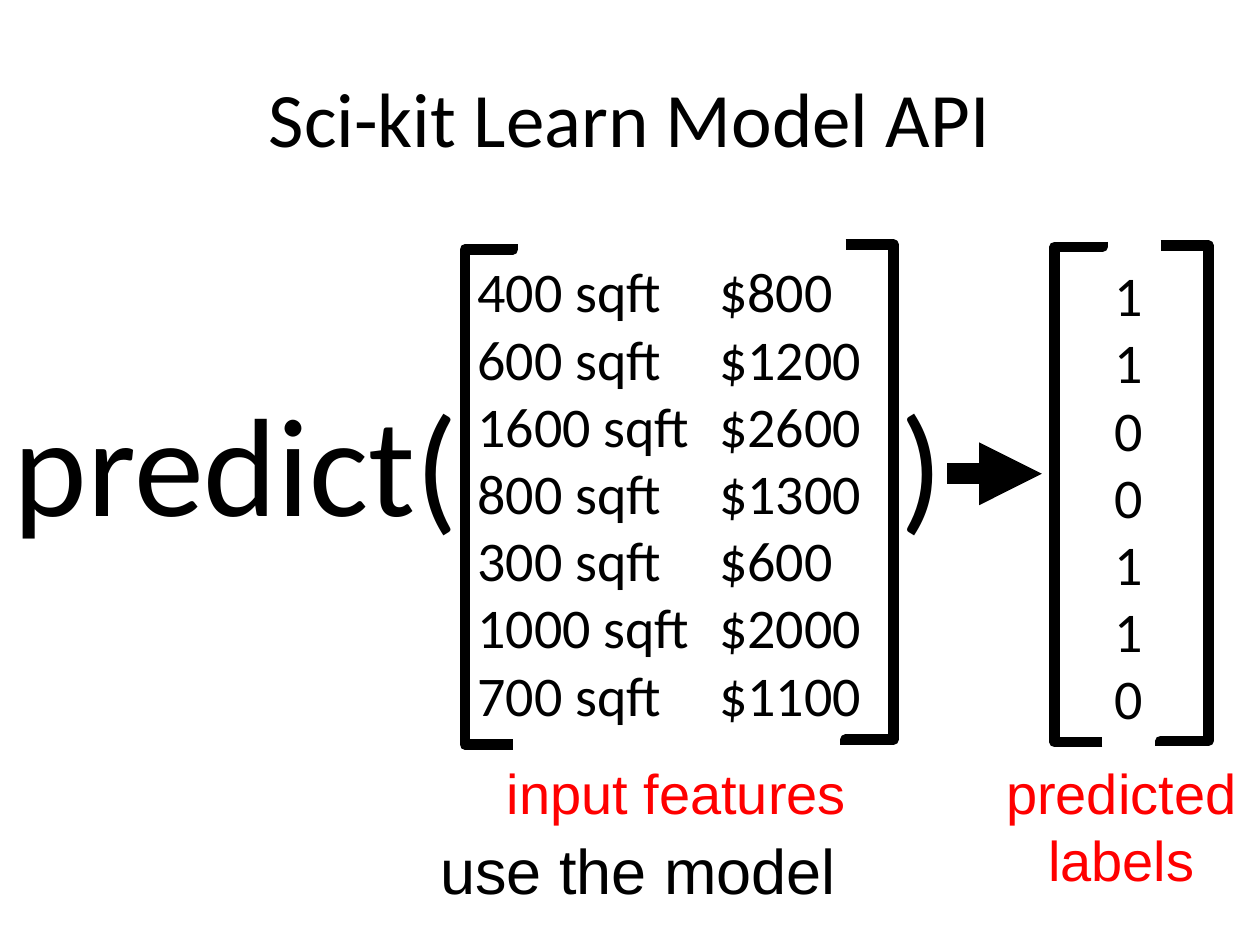
from lxml import etree
from pptx import Presentation
from pptx import util as u
from pptx.dml.color import RGBColor
from pptx.enum import shapes, text
from pptx.oxml.ns import qn

BLACK = RGBColor(0, 0, 0)
RED = RGBColor(0xFF, 0, 0)
CENTER, LEFT = text.PP_ALIGN.CENTER, text.PP_ALIGN.LEFT

AREAS = ["400 sqft", "600 sqft", "1600 sqft", "800 sqft", "300 sqft", "1000 sqft", "700 sqft"]
PRICES = ["$800", "$1200", "$2600", "$1300", "$600", "$2000", "$1100"]
LABELS = ["1", "1", "0", "0", "1", "1", "0"]

# lines, (left, top, width, height), size, font, colour, alignment
TEXTS = [
    (["Sci-kit Learn Model API"], (0.5, 0.3, 9, 1.25), 44, "Calibri", BLACK, CENTER),
    (["predict(\t)"], (0.01, 2.94, 7.71, 1.91), 80, "Calibri", BLACK, LEFT),
    (["use the model"], (0.79, 6.55, 8.55, 0.71), 36, "Arial", BLACK, CENTER),
    (["predicted labels"], (7.67, 5.97, 2.46, 1.18), 32, "Arial", RED, CENTER),
    (["input features"], (3.78, 5.97, 3.18, 0.64), 32, "Arial", RED, CENTER),
    (AREAS, (3.69, 1.99, 1.92, 3.87), 32, "Calibri", BLACK, LEFT),
    (PRICES, (5.61, 1.99, 1.84, 3.87), 32, "Calibri", BLACK, LEFT),
    (LABELS, (8.75, 2.02, 1.84, 3.87), 32, "Calibri", BLACK, LEFT),
]
CLOSING_TAB = 7.04

# spine x, side the bracket opens to (1 right, -1 left), top and bottom of its tips
BRACKETS = [
    (3.69, 1, 1.94, 5.91),
    (7.09, -1, 1.94, 5.91),
    (8.37, 1, 1.92, 5.89),
    (9.59, -1, 1.95, 5.92),
]
SERIF, SHORT_HALF, LONG_HALF = 0.38, 1.86, 2.12
TIP_BEND = 2100  # bend of the short halves, in 1/100000 of their length
ARROW_START, ARROW_END, ARROW_Y = 7.52, 8.27, 3.76


def add_text(page, lines, area, size, font, color, align):
    box = page.shapes.add_textbox(*map(u.Inches, area))
    frame = box.text_frame
    frame.word_wrap = True
    if size == 44:
        frame.vertical_anchor = text.MSO_ANCHOR.MIDDLE
    for index, line in enumerate(lines):
        para = frame.paragraphs[0] if index == 0 else frame.add_paragraph()
        para.alignment = align
        span = para.add_run()
        span.text = line
        span.font.size, span.font.name = u.Pt(size), font
        span.font.color.rgb = color
        if "\t" in line:
            tabs = etree.SubElement(para._p.get_or_add_pPr(), qn("a:tabLst"))
            etree.SubElement(tabs, qn("a:tab"), pos=str(u.Inches(CLOSING_TAB)), algn="l")


def add_black_connector(page, kind, ends, weight):
    connector = page.shapes.add_connector(kind, *map(u.Inches, ends))
    connector.line.color.rgb = BLACK
    connector.line.width = u.Pt(weight)
    etree.SubElement(connector._element.spPr, qn("a:effectLst"))
    return connector


def add_half_bracket(page, spine, side, tip_y, down):
    """Draw an elbow from the tip to the spine; down is 1 for the top half, -1 below."""
    short = side == down
    length = SHORT_HALF if short else LONG_HALF
    center_x = spine + side * SERIF / 2
    center_y = tip_y + down * length / 2
    rise = SERIF / 2 if short else -SERIF / 2
    # The elbow is laid out lying down, then turned upright about its centre.
    half = add_black_connector(
        page, shapes.MSO_CONNECTOR.ELBOW,
        (center_x + length / 2, center_y + rise, center_x - length / 2, center_y - rise), 6)
    half.rotation = 270 if down == 1 else 90
    guides = half._element.spPr.find(qn("a:prstGeom")).get_or_add_avLst()
    bend = TIP_BEND if short else 0
    etree.SubElement(guides, qn("a:gd"), name="adj1", fmla=f"val {bend}")
    etree.SubElement(half.line._get_or_add_ln(), qn("a:round"))


def add_arrow(page):
    arrow = add_black_connector(
        page, shapes.MSO_CONNECTOR.STRAIGHT, (ARROW_START, ARROW_Y, ARROW_END, ARROW_Y), 12)
    etree.SubElement(arrow.line._get_or_add_ln(), qn("a:tailEnd"), type="triangle")


def main():
    deck = Presentation()
    deck.slide_width, deck.slide_height = u.Inches(10), u.Inches(7.5)
    page = deck.slides.add_slide(deck.slide_layouts[6])
    for entry in TEXTS:
        add_text(page, *entry)
    for spine, side, top, bottom in BRACKETS:
        add_half_bracket(page, spine, side, top, 1)
        add_half_bracket(page, spine, side, bottom, -1)
    add_arrow(page)
    deck.save("out.pptx")


if __name__ == "__main__":
    main()
